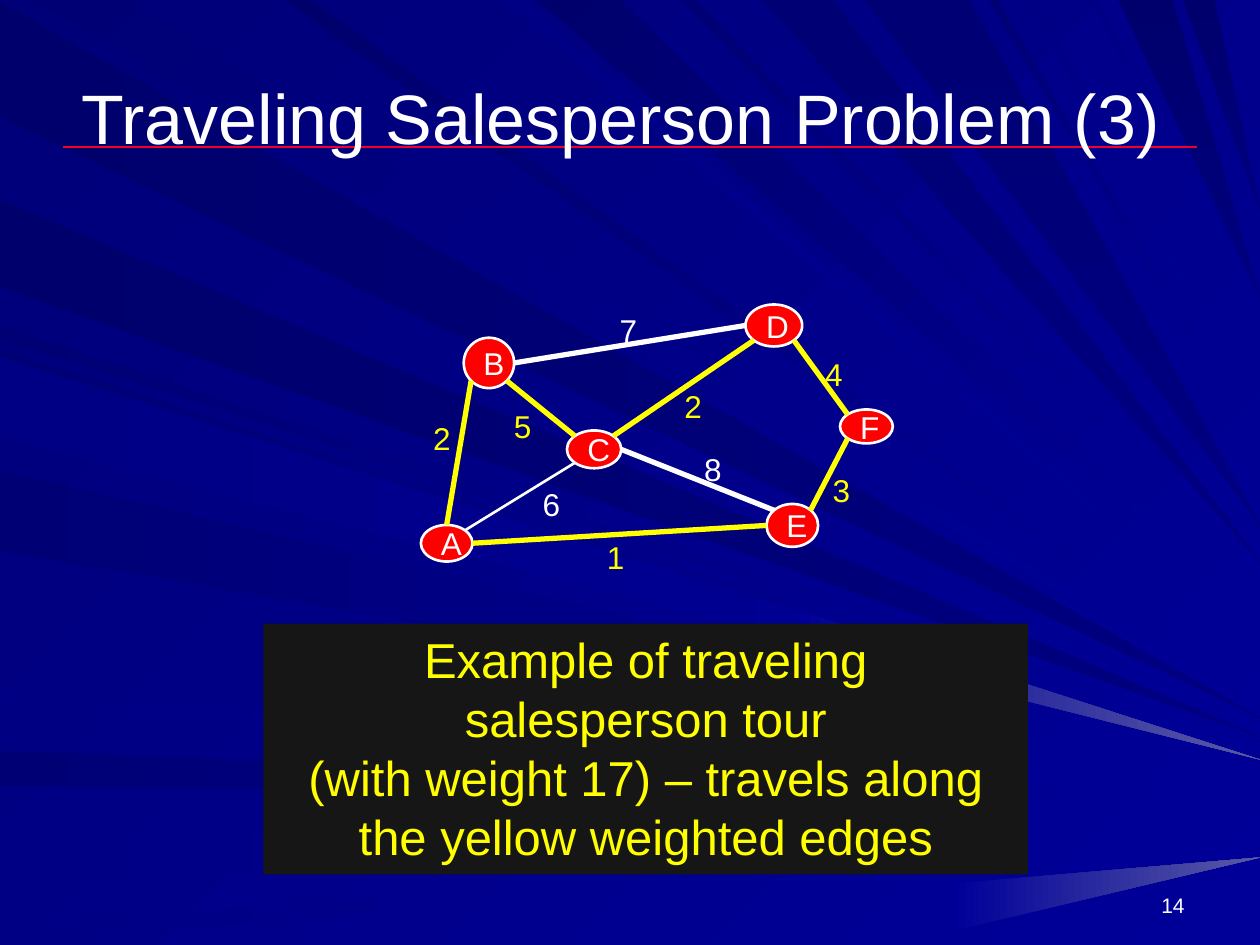
"""Build the travelling salesperson tour slide."""
from dataclasses import dataclass
from math import hypot

from lxml.etree import SubElement
from pptx import Presentation
from pptx.dml.color import RGBColor
from pptx.enum.shapes import MSO_CONNECTOR, MSO_SHAPE
from pptx.enum.text import MSO_ANCHOR, MSO_AUTO_SIZE, PP_ALIGN
from pptx.oxml.ns import qn
from pptx.util import Pt

COLORS = {
    "white": "FFFFFF", "yellow": "FFFF00", "red": "FF0000", "rule": "EF0129",
    "panel": "161616", "navy": "000080", "blue": "000099", "bg": "000078",
    "dark": "00006C", "mid": "000075", "soft": "000085", "glint": "5A5AA6",
}
FONT = "Arial"
WIDTH, HEIGHT = 720, 540


@dataclass(frozen=True)
class Ray:
    """A beam from a span on one side to a point on the right edge."""
    side: str
    first: float
    last: float
    tip: float
    start: str
    end: str = "blue"
    offset: float = 0

    def points(self) -> list:
        """Return the three corners."""
        span = (self.first, self.last)
        if self.side == "left":
            base = [(self.offset, y) for y in span]
        else:
            base = [(x, self.offset) for x in span]
        return base + [(WIDTH, self.tip)]

    def angle(self) -> int:
        """Return the clockwise gradient angle."""
        if self.side == "left":
            return 0
        return 90 if self.end == "navy" else 45


@dataclass(frozen=True)
class Node:
    x: float
    y: float
    w: float
    h: float

    def site(self, dx: int, dy: int) -> tuple:
        """Return the outline point in a compass direction."""
        k = hypot(dx, dy)
        return (self.x + self.w / 2 * (1 + dx / k), self.y + self.h / 2 * (1 + dy / k))


@dataclass(frozen=True)
class Edge:
    a: str
    a_side: str
    b: str
    b_side: str
    weight: str
    label_x: float
    label_y: float
    color: str = "yellow"
    width: float = 3


COMPASS = {"N": (0, -1), "W": (-1, 0), "E": (1, 0), "NW": (-1, -1),
           "NE": (1, -1), "SW": (-1, 1), "SE": (1, 1)}
RAYS = [
    Ray("left", 1, 67, 410, "dark", "navy"),
    Ray("top", 19, 73, 405, "mid"),
    Ray("left", 429, 449, 455, "mid"),
    Ray("left", 479, 507, 466, "soft"),
    Ray("left", 529, 540, 477, "soft"),
    Ray("left", 505, 532, 490, "blue", "glint", 544),
    Ray("left", 186, 194, 424, "mid"),
    Ray("left", 114, 164, 421, "dark", "navy"),
    Ray("top", 287, 300, 373, "soft"),
    Ray("top", 307, 354, 355, "dark"),
    Ray("top", 389, 397, 333, "mid"),
    Ray("top", 436, 476, 321, "mid", "navy"),
    Ray("top", 639, 670, 170, "dark", "navy"),
    Ray("top", 676, 694, 120, "dark", "navy"),
    Ray("left", 200, 246, 431, "mid"),
    Ray("left", 269, 315, 436, "mid"),
    Ray("left", 397, 403, 448, "soft"),
    Ray("top", 162, 178, 396, "dark"),
    Ray("top", 494, 554, 300, "mid", "navy"),
    Ray("top", 565, 570, 258, "mid"),
    Ray("top", 587, 593, 242, "soft"),
    Ray("top", 623, 628, 184, "soft"),
    Ray("left", 204, 250, 434, "soft"),
    Ray("left", 349, 368, 434, "blue", "glint", 457),
]
NODES = {
    "B": Node(265, 193, 28.8, 28.8), "D": Node(426, 174, 32.4, 24),
    "C": Node(324, 246, 31, 21.6), "A": Node(240.5, 300, 29.5, 20.9),
    "F": Node(480, 234, 30.2, 19.4), "E": Node(438, 288, 29.5, 24.5),
}
EDGES = [
    Edge("B", "SE", "C", "NW", "5", 286.6, 229),
    Edge("C", "SW", "A", "NE", "6", 303, 273.6, "white", 1.5),
    Edge("B", "SW", "A", "N", "2", 240.5, 236),
    Edge("C", "E", "E", "NW", "8", 395.3, 253.4, "white"),
    Edge("A", "E", "E", "W", "1", 339.8, 304),
    Edge("B", "E", "D", "W", "7", 347, 174, "white"),
    Edge("C", "NE", "D", "SW", "2", 384, 217.4),
    Edge("F", "NW", "D", "SE", "4", 464.4, 199.4),
    Edge("E", "NE", "F", "SW", "3", 468.7, 265.7),
]


def rgb(name: str) -> RGBColor:
    """Look up a named colour."""
    return RGBColor.from_string(COLORS[name])


def shade(fill, start: str, end: str, angle: int) -> None:
    """Apply a two-stop linear fill."""
    fill.gradient()
    fill.gradient_angle = 360 - angle
    for stop, color in zip(fill.gradient_stops, (start, end)):
        stop.color.rgb = rgb(color)


def add_ray(s, ray: Ray) -> None:
    """Draw one background ray."""
    pts = [(Pt(x), Pt(y)) for x, y in ray.points()]
    fb = s.shapes.build_freeform(*pts[0])
    fb.add_line_segments(pts[1:], close=True)
    sp = fb.convert_to_shape()
    sp.shadow.inherit = False
    sp.line.fill.background()
    shade(sp.fill, ray.start, ray.end, ray.angle())


def add_line(s, start: tuple, end: tuple, color: str, width: float) -> None:
    """Draw a straight line without a shadow."""
    cx = s.shapes.add_connector(MSO_CONNECTOR.STRAIGHT, *(Pt(v) for v in start + end))
    cx.line.color.rgb = rgb(color)
    cx.line.width = Pt(width)
    SubElement(cx.element.spPr, qn("a:effectLst"))


def set_text(sp, lines: list, size: float, color: str, align=PP_ALIGN.LEFT,
             anchor=MSO_ANCHOR.TOP, wrap: bool = True) -> None:
    """Fill a shape with uniformly styled paragraphs."""
    tf = sp.text_frame
    tf.word_wrap = wrap
    tf.vertical_anchor = anchor
    for i, line in enumerate(lines):
        p = tf.add_paragraph() if i else tf.paragraphs[0]
        p.text = line
        p.alignment = align
        p.font.name = FONT
        p.font.size = Pt(size)
        p.font.color.rgb = rgb(color)


def add_box(s, x: float, y: float, w: float, h: float):
    """Add an empty text box."""
    return s.shapes.add_textbox(Pt(x), Pt(y), Pt(w), Pt(h))


def add_filled(s, kind, x: float, y: float, w: float, h: float, color: str):
    """Add a plain filled shape without an outline."""
    sp = s.shapes.add_shape(kind, Pt(x), Pt(y), Pt(w), Pt(h))
    sp.shadow.inherit = False
    sp.fill.solid()
    sp.fill.fore_color.rgb = rgb(color)
    sp.line.fill.background()
    return sp


def add_node(s, name: str, node: Node) -> None:
    """Draw one labelled graph vertex."""
    sp = add_filled(s, MSO_SHAPE.OVAL, node.x, node.y, node.w, node.h, "red")
    sp.line.color.rgb = rgb("white")
    sp.line.width = Pt(1.5)
    set_text(sp, [name], 18, "white", anchor=MSO_ANCHOR.MIDDLE, wrap=False)


def main() -> None:
    """Assemble and save the slide."""
    prs = Presentation()
    prs.slide_width, prs.slide_height = Pt(WIDTH), Pt(HEIGHT)
    s = prs.slides.add_slide(prs.slide_layouts[6])
    shade(s.background.fill, "bg", "blue", 45)
    for ray in RAYS:
        add_ray(s, ray)
    add_line(s, (36, 84), (684, 84), "rule", 0.75)
    set_text(add_box(s, 516, 492, 168, 36), ["14"], 12, "white",
             PP_ALIGN.RIGHT, MSO_ANCHOR.BOTTOM)
    set_text(add_box(s, 36, 21.6, 648, 90), ["Traveling Salesperson Problem (3) "], 40,
             "white", PP_ALIGN.CENTER, MSO_ANCHOR.MIDDLE)
    for name, node in NODES.items():
        add_node(s, name, node)
    for e in EDGES:
        add_line(s, NODES[e.a].site(*COMPASS[e.a_side]),
                 NODES[e.b].site(*COMPASS[e.b_side]), e.color, e.width)
    for e in EDGES:
        label = add_box(s, e.label_x, e.label_y, 24.5, 28.8)
        set_text(label, [e.weight], 18, e.color, wrap=False)
        label.text_frame.auto_size = MSO_AUTO_SIZE.SHAPE_TO_FIT_TEXT
    sp = add_filled(s, MSO_SHAPE.RECTANGLE, 150.5, 356.4, 437, 143.3, "panel")
    set_text(sp, ["Example of traveling\vsalesperson tour",
                  "(with weight 17) – travels along the yellow weighted edges"],
             28, "yellow", PP_ALIGN.CENTER)
    prs.save("out.pptx")


if __name__ == "__main__":
    main()
